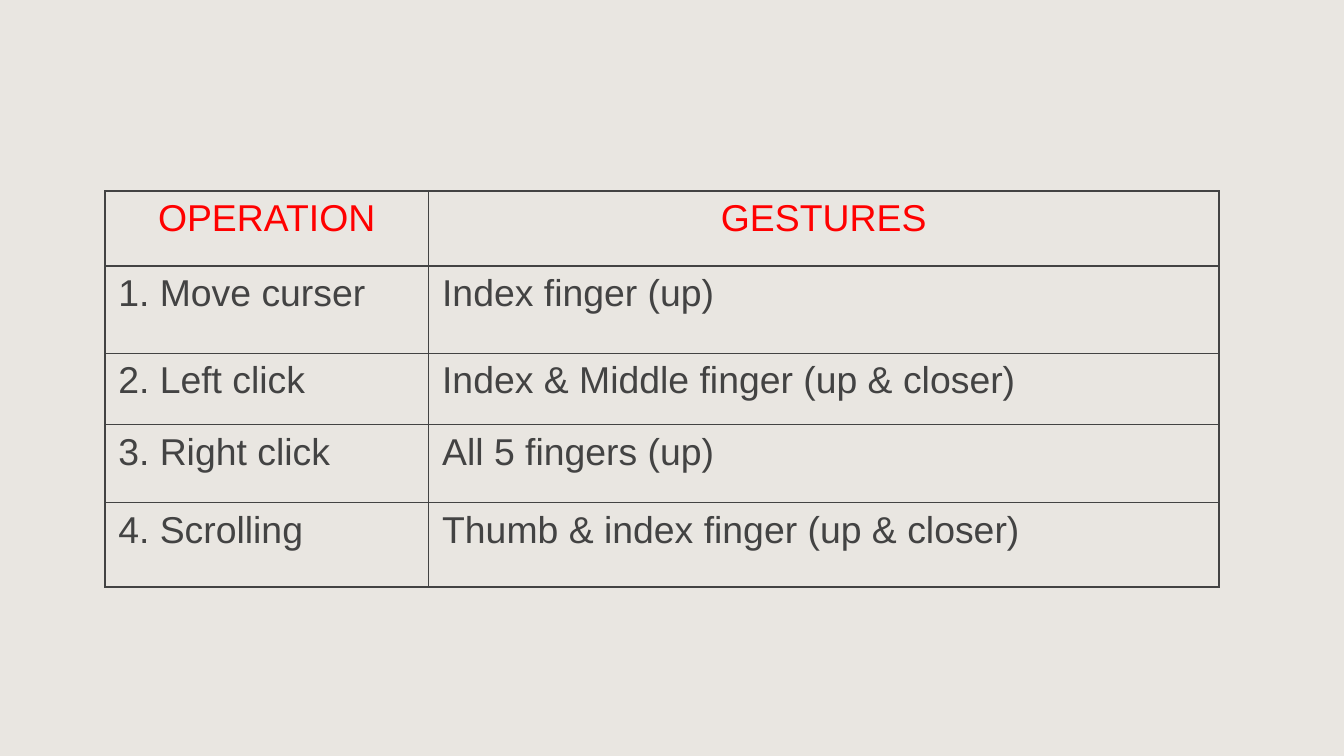
from dataclasses import dataclass

from lxml.etree import SubElement
from pptx import Presentation
from pptx.dml.color import RGBColor as Rgb
from pptx.enum.text import PP_ALIGN as Align
from pptx.oxml.ns import qn
from pptx.util import Inches, Pt


@dataclass(frozen=True)
class Theme:
    back: str = "E9E6E1"
    head: str = "FF0000"
    ink: str = "434343"
    font: str = "Arial"
    size: int = 20
    line: int = 1


@dataclass(frozen=True)
class Row:
    task: str
    sign: str
    high: float


THEME = Theme()
PAGE = 10
LEFT, TOP = 0.78, 1.42
WIDE = (2.41, 5.88)
ROWS = (
    Row("OPERATION", "GESTURES", 0.56),
    Row("1. Move curser", "Index finger (up)", 0.65),
    Row("2. Left click", "Index & Middle finger (up & closer)", 0.53),
    Row("3. Right click", "All 5 fingers (up)", 0.58),
    Row("4. Scrolling", "Thumb & index finger (up & closer)", 0.63),
)


def edge(cell) -> None:
    props = cell._tc.get_or_add_tcPr()
    for side in ("lnL", "lnR", "lnT", "lnB"):
        line = SubElement(props, qn(f"a:{side}"), w=str(Pt(THEME.line)))
        fill = SubElement(line, qn("a:solidFill"))
        SubElement(fill, qn("a:srgbClr"), val=THEME.ink)


def write(cell, text: str, head: bool) -> None:
    edge(cell)
    cell.fill.background()
    cell.text = text
    para = cell.text_frame.paragraphs[0]
    para.alignment = Align.CENTER if head else Align.LEFT
    font = para.font
    font.name, font.size, font.bold = THEME.font, Pt(THEME.size), False
    font.color.rgb = Rgb.from_string(THEME.head if head else THEME.ink)


def draw(slide) -> None:
    high = sum(row.high for row in ROWS)
    frame = slide.shapes.add_table(
        len(ROWS), len(WIDE),
        Inches(LEFT), Inches(TOP), Inches(sum(WIDE)), Inches(high),
    )
    table = frame.table
    table.horz_banding = False
    for col, wide in zip(table.columns, WIDE):
        col.width = Inches(wide)
    for i, row in enumerate(ROWS):
        table.rows[i].height = Inches(row.high)
        for j, text in enumerate((row.task, row.sign)):
            write(table.cell(i, j), text, i == 0)


def main() -> None:
    deck = Presentation()
    deck.slide_width = Inches(PAGE)
    deck.slide_height = Inches(PAGE * 9 / 16)
    slide = deck.slides.add_slide(deck.slide_layouts[6])
    fill = slide.background.fill
    fill.solid()
    fill.fore_color.rgb = Rgb.from_string(THEME.back)
    draw(slide)
    deck.save("out.pptx")


if __name__ == "__main__":
    main()
